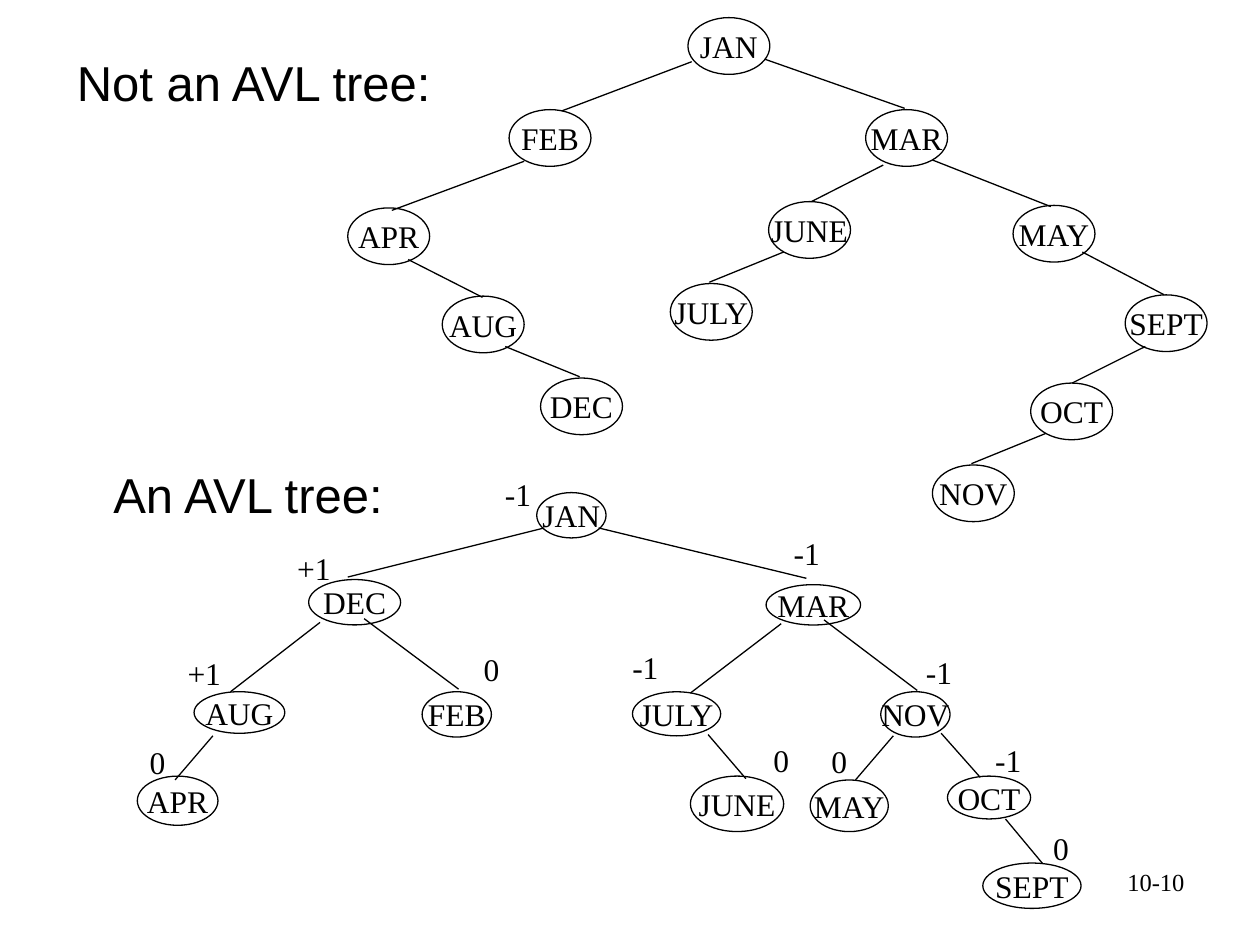
import pptx
import pptx.util
import pptx.dml.color
import pptx.enum.shapes
import pptx.enum.text
from dataclasses import dataclass
from lxml import etree

Inches, Pt = pptx.util.Inches, pptx.util.Pt
ALIGN = pptx.enum.text.PP_ALIGN


@dataclass(frozen=True)
class Theme:
    ink: pptx.dml.color.RGBColor = pptx.dml.color.RGBColor(0, 0, 0)
    paper: pptx.dml.color.RGBColor = pptx.dml.color.RGBColor(255, 255, 255)
    heading_font: str = "Arial"
    tree_font: str = "Times New Roman"
    heading_size: int = 28
    tree_size: int = 18
    page_size: int = 14
    stroke: float = 0.75


THEME = Theme()

HEADINGS = [
    ("Not an AVL tree:", (0.51, 0.37, 3.37, 0.57)),
    ("An AVL tree:", (0.8, 3.64, 2.4, 1.04)),
]
PAGE_NUMBER = ("10-10", (7.17, 6.83, 2.33, 0.52))

# All lengths are inches. Every node of the first tree has the same size.
NODE_SIZE = (0.65, 0.45)
LABEL_HEIGHT = 0.4

# month, left and top, branch from the parent (start, end)
UNBALANCED_TREE = [
    ("JAN", (5.46, 0.14), None),
    ("FEB", (4.04, 0.87), ((5.49, 0.49), (4.46, 0.88))),
    ("APR", (2.76, 1.65), ((4.16, 1.28), (3.11, 1.67))),
    ("AUG", (3.51, 2.35), ((3.24, 2.06), (3.83, 2.36))),
    ("DEC", (4.29, 3.0), ((4.01, 2.75), (4.6, 2.99))),
    ("MAR", (6.87, 0.87), ((6.07, 0.47), (7.18, 0.86))),
    ("JUNE", (6.1, 1.6), ((7.01, 1.31), (6.44, 1.6))),
    ("JULY", (5.32, 2.25), ((6.22, 2.0), (5.63, 2.24))),
    ("MAY", (8.04, 1.63), ((7.4, 1.27), (8.34, 1.64))),
    ("SEPT", (8.93, 2.34), ((8.59, 2.0), (9.24, 2.34))),
    ("OCT", (8.18, 3.04), ((9.09, 2.75), (8.51, 3.04))),
    ("NOV", (7.4, 3.69), ((8.3, 3.44), (7.71, 3.68))),
]

# month, box, branch from the parent, balance factor and its left, top, width
AVL_TREE = [
    ("JAN", (4.26, 3.91, 0.55, 0.36), None, "-1", (3.91, 3.72, 0.46)),
    ("DEC", (2.45, 4.6, 0.73, 0.36), ((4.32, 4.19), (2.76, 4.58)), "+1", (2.26, 4.31, 0.58)),
    ("MAR", (6.08, 4.64, 0.75, 0.32), ((4.75, 4.19), (6.4, 4.59)), "-1", (6.2, 4.19, 0.58)),
    ("AUG", (1.54, 5.49, 0.72, 0.33), ((2.54, 4.94), (1.83, 5.49)), "+1", (1.39, 5.14, 0.56)),
    ("FEB", (3.35, 5.49, 0.55, 0.36), ((2.89, 4.91), (3.64, 5.47)), "0", (3.74, 5.11, 0.37)),
    ("JULY", (5.02, 5.49, 0.7, 0.35), ((6.2, 4.95), (5.48, 5.5)), "-1", (4.92, 5.09, 0.57)),
    ("NOV", (6.99, 5.49, 0.55, 0.36), ((6.54, 4.92), (7.28, 5.48)), "-1", (7.25, 5.13, 0.6)),
    ("APR", (1.09, 6.16, 0.64, 0.39), ((1.69, 5.84), (1.39, 6.19)), "0", (1.09, 5.85, 0.37)),
    ("JUNE", (5.48, 6.16, 0.74, 0.44), ((5.62, 5.83), (5.92, 6.18)), "0", (6.04, 5.83, 0.37)),
    ("MAY", (6.43, 6.19, 0.62, 0.41), ((7.09, 5.84), (6.79, 6.19)), "0", (6.5, 5.84, 0.37)),
    ("OCT", (7.52, 6.16, 0.66, 0.34), ((7.47, 5.82), (7.78, 6.17)), "-1", (7.8, 5.83, 0.51)),
    ("SEPT", (7.8, 6.85, 0.78, 0.36), ((7.98, 6.5), (8.28, 6.86)), "0", (8.26, 6.53, 0.37)),
]


def write(box, text, font_name, size, align=ALIGN.LEFT):
    box.text_frame.text = text
    paragraph = box.text_frame.paragraphs[0]
    paragraph.alignment = align
    font = paragraph.runs[0].font
    font.name, font.size = font_name, Pt(size)
    font.color.rgb = THEME.ink
    return paragraph


def add_label(slide, text, box, size=THEME.tree_size, align=ALIGN.LEFT):
    label = slide.shapes.add_textbox(*map(Inches, box))
    label.text_frame.word_wrap = True
    write(label, text, THEME.tree_font, size, align)


def add_node(slide, month, box):
    node = slide.shapes.add_shape(pptx.enum.shapes.MSO_SHAPE.OVAL, *map(Inches, box))
    node.shadow.inherit = False
    node.fill.background()
    node.line.color.rgb = THEME.ink
    node.line.width = Pt(THEME.stroke)
    node.text_frame.word_wrap = False
    node.text_frame.vertical_anchor = pptx.enum.text.MSO_ANCHOR.MIDDLE
    write(node, month, THEME.tree_font, THEME.tree_size, ALIGN.CENTER)
    return node


def add_branch(slide, start, end):
    branch = slide.shapes.add_connector(
        pptx.enum.shapes.MSO_CONNECTOR.STRAIGHT, *map(Inches, start + end))
    branch.line.color.rgb = THEME.ink
    branch.line.width = Pt(THEME.stroke)
    properties = branch._element.spPr
    etree.SubElement(properties, pptx.oxml.ns.qn("a:effectLst"))


def fill_heading(placeholder, text, box):
    (placeholder.left, placeholder.top,
     placeholder.width, placeholder.height) = map(Inches, box)
    frame = placeholder.text_frame
    frame.vertical_anchor = pptx.enum.text.MSO_ANCHOR.TOP
    frame.auto_size = pptx.enum.text.MSO_AUTO_SIZE.NONE
    paragraph = write(placeholder, text, THEME.heading_font, THEME.heading_size)
    paragraph.space_before = Pt(0)
    properties = paragraph._p.get_or_add_pPr()
    properties.set("marL", "0")
    properties.set("indent", "0")
    etree.SubElement(properties, pptx.oxml.ns.qn("a:buNone"))


def main():
    deck = pptx.Presentation()
    deck.slide_width, deck.slide_height = Inches(10), Inches(7.5)
    slide = deck.slides.add_slide(deck.slide_layouts[1])

    for placeholder, (text, box) in zip(slide.placeholders, HEADINGS):
        fill_heading(placeholder, text, box)

    for month, corner, branch in UNBALANCED_TREE:
        if branch:
            add_branch(slide, *branch)
        add_node(slide, month, corner + NODE_SIZE)

    for month, box, branch, balance, label_place in AVL_TREE:
        if branch:
            add_branch(slide, *branch)
        node = add_node(slide, month, box)
        add_label(slide, balance, label_place + (LABEL_HEIGHT,))
    node.fill.solid()
    node.fill.fore_color.rgb = THEME.paper

    add_label(slide, *PAGE_NUMBER, size=THEME.page_size, align=ALIGN.RIGHT)
    deck.save("out.pptx")


if __name__ == "__main__":
    main()
